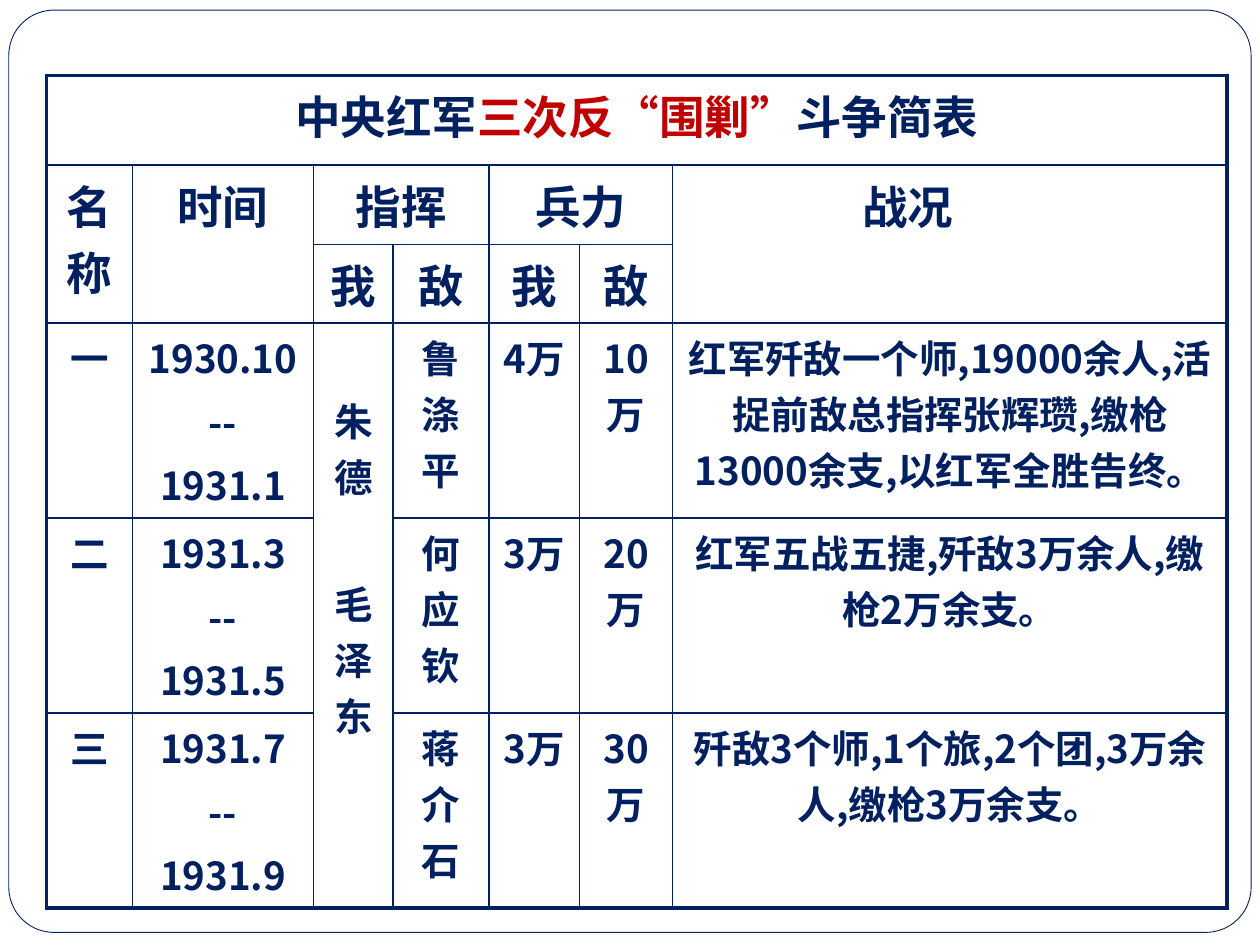
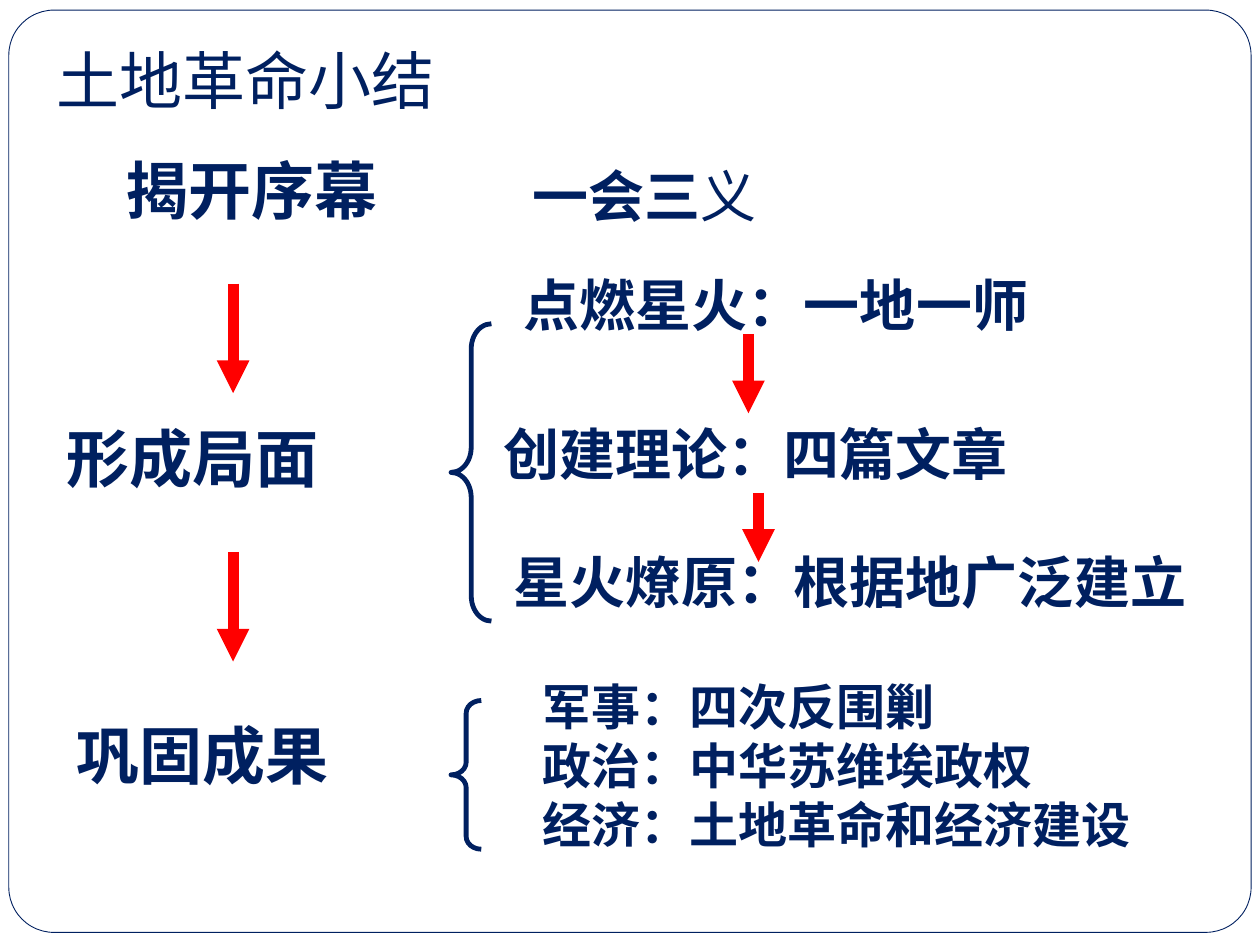
import pptx
import pptx.dml.color
import pptx.enum.shapes
import pptx.enum.text
import pptx.oxml
import pptx.oxml.ns
import pptx.util
from lxml import etree

# Shared look
COLORS = {"navy": "002060", "crimson": "C00000", "red": "FF0000", "white": "FFFFFF"}
FONT, LABEL_FONT = "Noto Sans CJK JP", "Noto Sans CJK SC"
SLIDE_WIDTH, SLIDE_HEIGHT = 10, 7.5
GRID = SLIDE_WIDTH / 100  # one grid step is a hundredth of the slide's width
FRAME = (0.7, 0.8, 98.6, 73.2)
NO_STYLE = "{2D5ABB26-0587-4C30-8999-92F81FD0307C}"

# Slide 1: table of the three campaigns
TABLE_CORNER = (3.7, 6)
COLUMNS = [6.8, 14.4, 6.3, 7.6, 7.2, 7.4, 44]
ROWS = [7.1, 6.3, 5.3, 14, 12, 13]
HEADER_ROWS = 3
TABLE_TITLE = [("中央红军", {}), ("三次反“围剿”", {"color": "crimson"}), ("斗争简表", {})]
CELLS = [
    [[TABLE_TITLE]],
    [["名称"], ["时间"], ["指挥"], [], ["兵力"], [], ["战况"]],
    [[], [], ["我"], ["敌"], ["我"], ["敌"], []],
    [["一"], ["1930.10", "--", "1931.1"], ["朱德", "毛泽东"], ["鲁涤平"], ["4万"], ["10万"],
     ["红军歼敌一个师,19000余人,活捉前敌总指挥张辉瓒,缴枪13000余支,以红军全胜告终。"]],
    [["二"], ["1931.3", "--", "1931.5"], [], ["何应钦"], ["3万"], ["20万"],
     ["红军五战五捷,歼敌3万余人,缴枪2万余支。"]],
    [["三"], ["1931.7", "--", "1931.9"], [], ["蒋介石"], ["3万"], ["30万"],
     ["歼敌3个师,1个旅,2个团,3万余人,缴枪3万余支。"]],
]
# (row, column): (rows spanned, columns spanned)
SPANS = {(0, 0): (1, 7), (1, 0): (2, 1), (1, 1): (2, 1), (1, 2): (1, 2),
         (1, 4): (1, 2), (1, 6): (2, 1), (3, 2): (3, 1)}
COMMANDERS, RESULTS_HEADER = (3, 2), (1, 6)

# Slide 2: summary, with (box, paragraphs, size)
SUMMARY_TITLE = ((3.5, 2.8, 32, 7), ["土地革命小结"])
SUMMARY_TEXTS = [
    ((9, 11.5, 28.4, 7), ["揭开序幕"], 36),
    ((4.3, 32.8, 28.4, 7), ["形成局面"], 36),
    ((5.1, 56.4, 28.4, 7), ["巩固成果"], 36),
    ((41.3, 12.3, 29.9, 6.3), [[("一会三", {}), ("义", {"bold": False})]], 32),
    ((40.6, 21, 49.6, 6.4), ["点燃星火：一地一师"], 32),
    ((39, 32.8, 51.2, 6.4), ["创建理论：四篇文章"], 32),
    ((39.8, 43, 56.7, 6.4), ["星火燎原：根据地广泛建立"], 32),
    ((42.1, 53.2, 51.2, 15),
     ["军事：四次反围剿", "政治：中华苏维埃政权", "经济：土地革命和经济建设"], 28),
]
ARROWS = [(18.5, 22.5, 31.2), (18.5, 43.8, 52.5), (59.4, 26.5, 32.8), (60.2, 39.1, 44.6)]
BRACES = [((35.8, 25.7, 3.2, 23.6), 0.622), ((35.8, 55.6, 2.4, 11.8), 0.416)]


def steps(*values):
    return [pptx.util.Inches(round(value * GRID, 2)) for value in values]


def rgb(name):
    return pptx.dml.color.RGBColor.from_string(COLORS[name])


def write(text_frame, paragraphs, size=22, bold=True, color="navy", font=FONT,
          align=None, space_before=0):
    """Fill a text frame; a paragraph is a string or a list of (text, changes) runs."""
    for index, content in enumerate(paragraphs):
        paragraph = text_frame.add_paragraph() if index else text_frame.paragraphs[0]
        paragraph.alignment = align
        if index and space_before:
            paragraph.space_before = pptx.util.Pt(space_before)
        runs = [(content, {})] if isinstance(content, str) else content
        for text, changes in runs:
            run = paragraph.add_run()
            run.text = text
            run.font.size = pptx.util.Pt(size)
            run.font.bold = changes.get("bold", bold)
            run.font.color.rgb = rgb(changes.get("color", color))
            run.font.name = font
            latin = run.font._element.find(pptx.oxml.ns.qn("a:latin"))
            east_asian = etree.Element(pptx.oxml.ns.qn("a:ea"), typeface=font)
            latin.addnext(east_asian)


def add_shape(slide, kind, box, fill=None, line=None, width=1.0, adjust=None):
    shape = slide.shapes.add_shape(kind, *steps(*box))
    shape.shadow.inherit = False
    if fill:
        shape.fill.solid()
        shape.fill.fore_color.rgb = rgb(fill)
    else:
        shape.fill.background()
    if line:
        shape.line.color.rgb = rgb(line)
        shape.line.width = pptx.util.Pt(width)
    else:
        shape.line.fill.background()
    if adjust is not None:
        shape.adjustments[0] = adjust
    return shape


def add_text(slide, box, paragraphs, size):
    text_frame = slide.shapes.add_textbox(*steps(*box)).text_frame
    text_frame.word_wrap = True
    text_frame.auto_size = pptx.enum.text.MSO_AUTO_SIZE.SHAPE_TO_FIT_TEXT
    write(text_frame, paragraphs, size=size)


def add_arrow(slide, x, top, bottom):
    arrow = slide.shapes.add_connector(
        pptx.enum.shapes.MSO_CONNECTOR.STRAIGHT, *steps(x, top, x, bottom))
    arrow.line.color.rgb = rgb("red")
    arrow.line.width = pptx.util.Pt(6.25)
    etree.SubElement(arrow.line._get_or_add_ln(), pptx.oxml.ns.qn("a:tailEnd"), type="triangle")
    etree.SubElement(arrow._element.spPr, pptx.oxml.ns.qn("a:effectLst"))


def add_border(cell, side, width):
    namespace = pptx.oxml.ns.nsdecls("a")
    cell._tc.get_or_add_tcPr().append(pptx.oxml.parse_xml(
        f'<a:ln{side} {namespace} w="{pptx.util.Pt(width)}"><a:solidFill>'
        f'<a:srgbClr val="{COLORS["navy"]}"/></a:solidFill></a:ln{side}>'))


def add_borders(table, first_row, first_column, row_span, column_span):
    """Draw a region's outline: thick on the table's rim, thin inside."""
    last_row, last_column = first_row + row_span - 1, first_column + column_span - 1
    thick = {"L": first_column == 0, "R": last_column == len(COLUMNS) - 1,
             "T": first_row == 0, "B": last_row == len(ROWS) - 1}
    for row in range(first_row, last_row + 1):
        for column in range(first_column, last_column + 1):
            cell = table.cell(row, column)
            on_edge = {"L": column == first_column, "R": column == last_column,
                       "T": row == first_row, "B": row == last_row}
            for side in "LRTB":
                if on_edge[side] or not cell.is_spanned:
                    add_border(cell, side, 2.25 if thick[side] else 1)
            cell.fill.background()


def new_slide(presentation):
    slide = presentation.slides.add_slide(presentation.slide_layouts[6])
    add_shape(slide, pptx.enum.shapes.MSO_SHAPE.ROUNDED_RECTANGLE, FRAME,
              fill="white", line="navy", width=0.5, adjust=0.049)
    return slide


def build_campaign_table(presentation):
    slide = new_slide(presentation)
    table_frame = slide.shapes.add_table(
        len(ROWS), len(COLUMNS), *steps(*TABLE_CORNER, sum(COLUMNS), sum(ROWS)))
    table = table_frame.table
    table.first_row = table.horz_banding = False
    table._tbl.tblPr.find(pptx.oxml.ns.qn("a:tableStyleId")).text = NO_STYLE
    for column, width in zip(table.columns, steps(*COLUMNS)):
        column.width = width
    for row, height in zip(table.rows, steps(*ROWS)):
        row.height = height
    for (row, column), (row_span, column_span) in SPANS.items():
        table.cell(row, column).merge(
            table.cell(row + row_span - 1, column + column_span - 1))

    # Text and borders of every visible cell
    for row, contents in enumerate(CELLS):
        for column, paragraphs in enumerate(contents):
            if not paragraphs:
                continue
            cell = table.cell(row, column)
            is_label = column == 0 and row > 0
            write(cell.text_frame, paragraphs,
                  size=26 if row < HEADER_ROWS else 22,
                  font=LABEL_FONT if is_label else FONT,
                  align=pptx.enum.text.PP_ALIGN.CENTER,
                  space_before=41 if (row, column) == COMMANDERS else 4.4)
            add_borders(table, row, column, *SPANS.get((row, column), (1, 1)))
    table.cell(*COMMANDERS).margin_top = pptx.util.Inches(0.55)
    table.cell(*RESULTS_HEADER).margin_right = pptx.util.Inches(0.77)


def build_summary(presentation):
    slide = new_slide(presentation)
    box, paragraphs = SUMMARY_TITLE
    title = add_shape(slide, pptx.enum.shapes.MSO_SHAPE.RECTANGLE, box, fill="white")
    title.text_frame.word_wrap = False
    title.text_frame.auto_size = pptx.enum.text.MSO_AUTO_SIZE.SHAPE_TO_FIT_TEXT
    write(title.text_frame, paragraphs, size=36, bold=False,
          align=pptx.enum.text.PP_ALIGN.LEFT)
    for arrow in ARROWS:
        add_arrow(slide, *arrow)
    for box, curve in BRACES:
        add_shape(slide, pptx.enum.shapes.MSO_SHAPE.LEFT_BRACE, box,
                  line="navy", width=2.75, adjust=curve)
    for box, paragraphs, size in SUMMARY_TEXTS:
        add_text(slide, box, paragraphs, size)


def main():
    presentation = pptx.Presentation()
    presentation.slide_width = pptx.util.Inches(SLIDE_WIDTH)
    presentation.slide_height = pptx.util.Inches(SLIDE_HEIGHT)
    build_campaign_table(presentation)
    build_summary(presentation)
    presentation.save("out.pptx")


if __name__ == "__main__":
    main()
